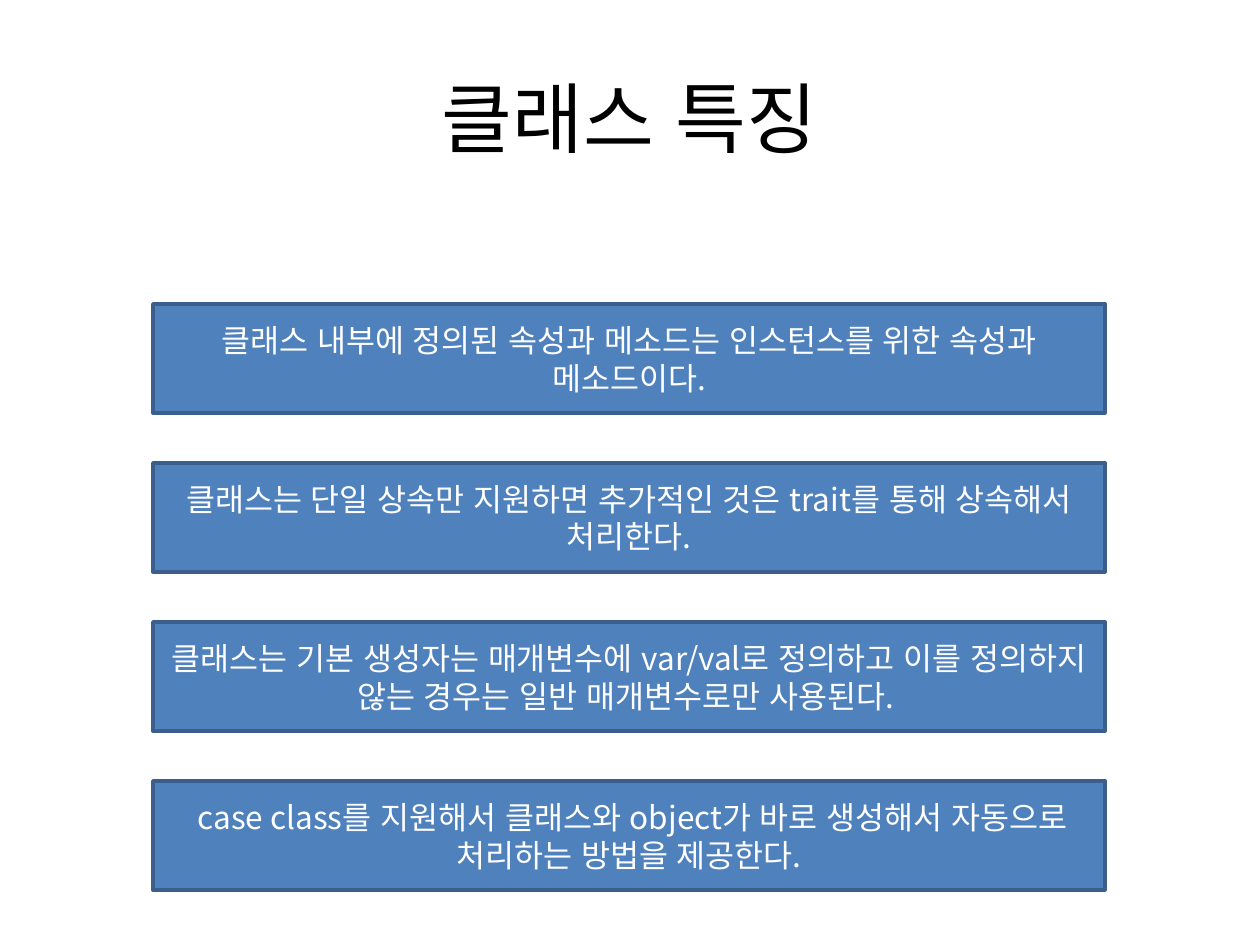
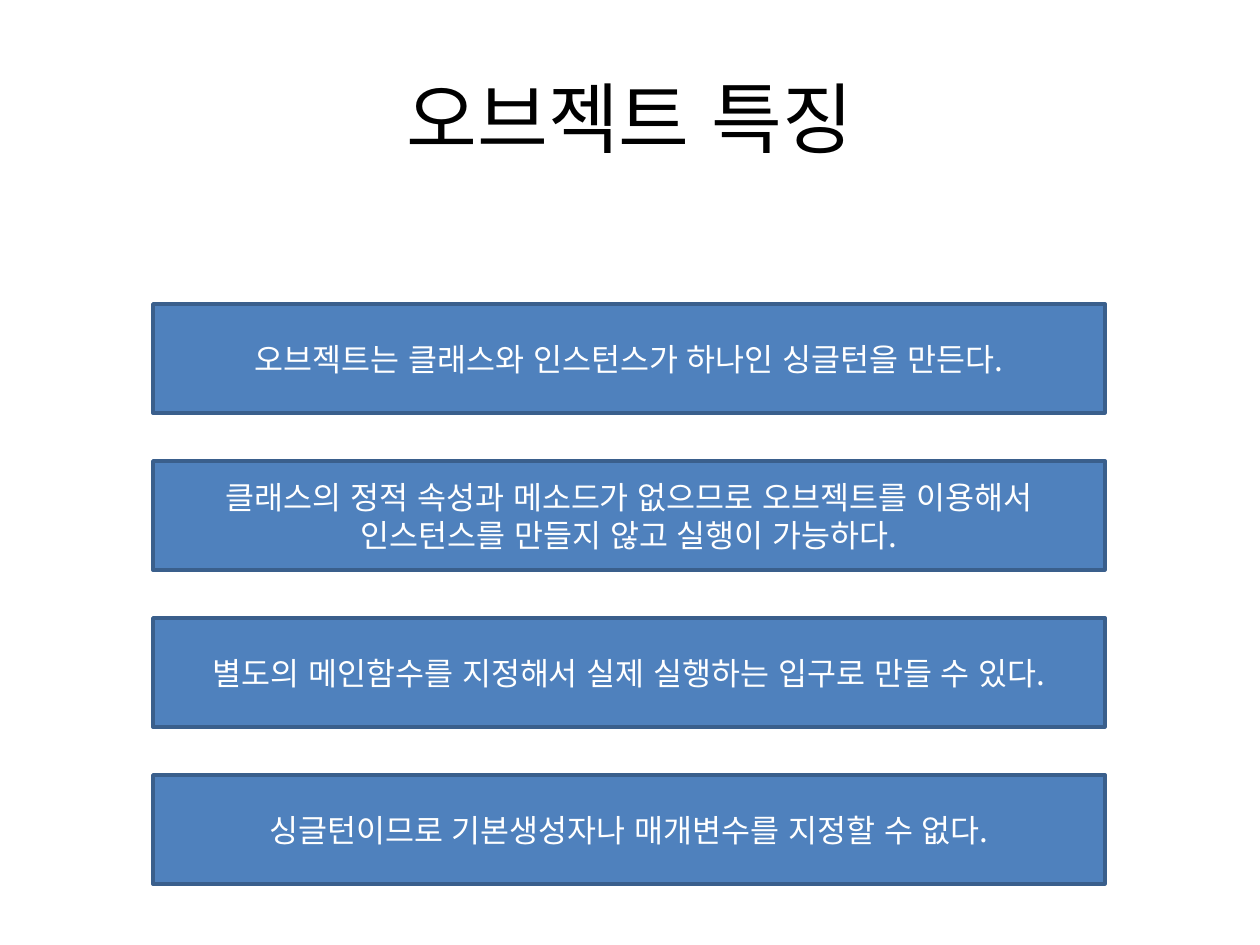
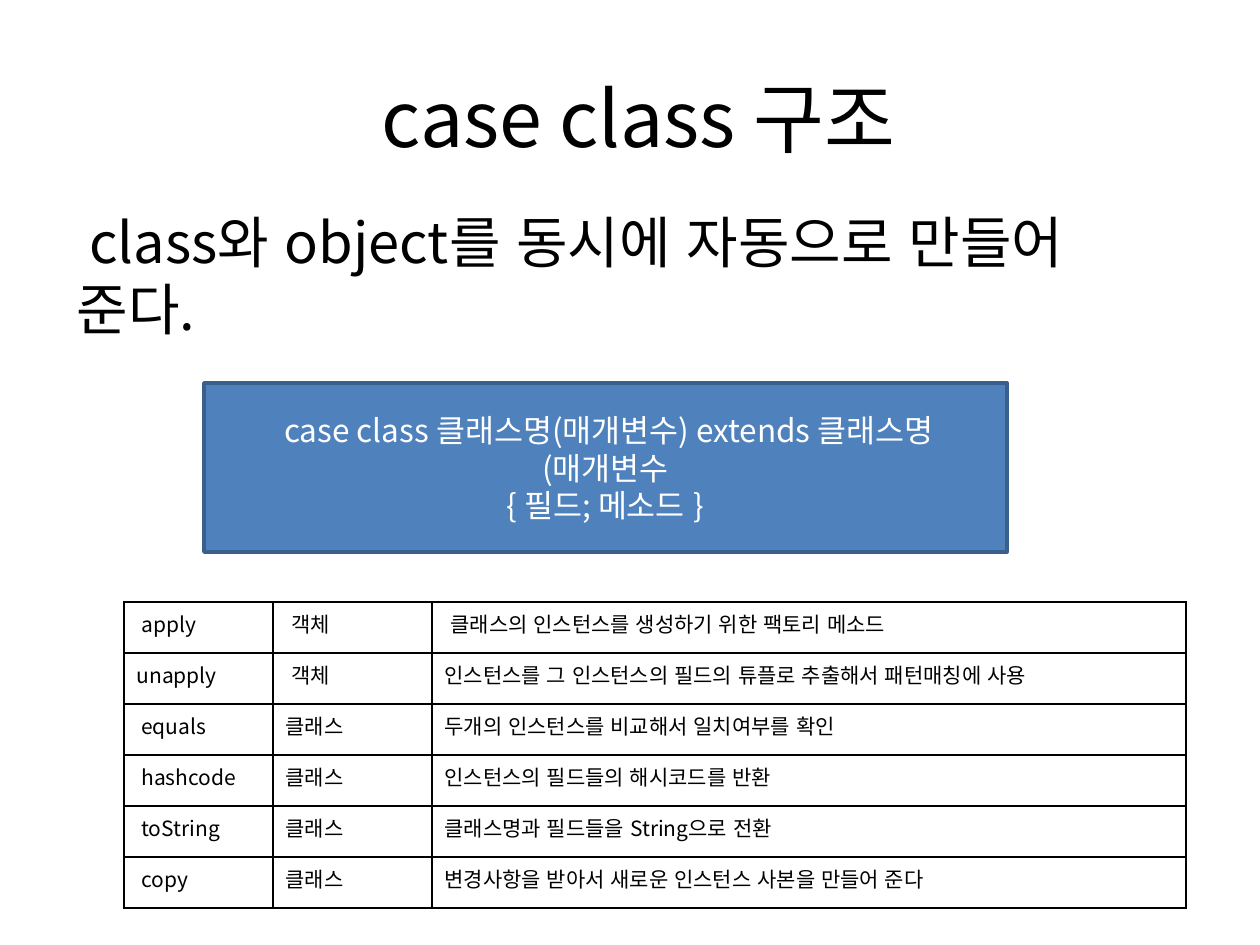
"""Build three slides on classes, objects and case classes."""
import dataclasses

import pptx
import pptx.dml.color
import pptx.enum.lang
import pptx.enum.shapes
import pptx.enum.text
import pptx.oxml.ns
import pptx.util
from lxml import etree

ALIGN = pptx.enum.text.PP_ALIGN
ANCHOR = pptx.enum.text.MSO_ANCHOR
qn = pptx.oxml.ns.qn


@dataclasses.dataclass(frozen=True)
class Theme:
    font: str = "Noto Sans CJK KR"
    ink: str = "000000"
    box_fill: str = "4F81BD"
    box_line: str = "3A5F8C"
    box_text: str = "FFFFFF"
    title_size: int = 44
    body_size: int = 32
    box_size: int = 18
    cell_size: int = 12
    box_line_width: int = 2
    border_width: int = 1


THEME = Theme()


def px(length):
    return round(length * 914400 / 126)


def rgb(code):
    return pptx.dml.color.RGBColor.from_string(code)


def write(frame, text, size, color=THEME.ink, align=ALIGN.LEFT, anchor=ANCHOR.TOP):
    frame.word_wrap = True
    frame.vertical_anchor = anchor
    frame.text = text
    for paragraph in frame.paragraphs:
        paragraph.alignment = align
        for run in paragraph.runs:
            run.font.size = pptx.util.Pt(size)
            run.font.name = THEME.font
            run.font.color.rgb = rgb(color)
            run.font.language_id = pptx.enum.lang.MSO_LANGUAGE_ID.KOREAN


def draw_borders(cell):
    properties = cell._tc.get_or_add_tcPr()
    for position, side in enumerate(("lnL", "lnR", "lnT", "lnB")):
        border = etree.Element(qn(f"a:{side}"), w=str(pptx.util.Pt(THEME.border_width)))
        fill = etree.SubElement(border, qn("a:solidFill"))
        etree.SubElement(fill, qn("a:srgbClr"), val=THEME.ink)
        properties.insert(position, border)


class Deck:
    TITLE_AND_BODY, TITLE_ONLY = 1, 5

    def __init__(self):
        self.presentation = pptx.Presentation()
        self.presentation.slide_width = px(1260)
        self.presentation.slide_height = px(945)
        self.slide = None

    def add_slide(self, title, layout=TITLE_ONLY):
        self.slide = self.presentation.slides.add_slide(self.presentation.slide_layouts[layout])
        heading = self.slide.shapes.title
        self.place(heading, 63, 38, 1134, 158)
        write(heading.text_frame, title, THEME.title_size, align=ALIGN.CENTER, anchor=ANCHOR.MIDDLE)

    def place(self, shape, left, top, width, height):
        shape.left, shape.top, shape.width, shape.height = map(px, (left, top, width, height))

    def body(self, text, left, top, width, height):
        summary = self.slide.placeholders[1]
        self.place(summary, left, top, width, height)
        write(summary.text_frame, text, THEME.body_size)
        for paragraph in summary.text_frame.paragraphs:
            properties = paragraph._p.get_or_add_pPr()
            properties.set("marL", "0")
            properties.set("indent", "0")
            etree.SubElement(properties, qn("a:buNone"))

    def box(self, text, left, top, width, height):
        panel = self.slide.shapes.add_shape(
            pptx.enum.shapes.MSO_SHAPE.RECTANGLE, *map(px, (left, top, width, height)))
        panel.shadow.inherit = False
        panel.fill.solid()
        panel.fill.fore_color.rgb = rgb(THEME.box_fill)
        panel.line.color.rgb = rgb(THEME.box_line)
        panel.line.width = pptx.util.Pt(THEME.box_line_width)
        write(panel.text_frame, text, THEME.box_size, color=THEME.box_text,
              align=ALIGN.CENTER, anchor=ANCHOR.MIDDLE)

    def box_stack(self, statements, pitch):
        for row, statement in enumerate(statements):
            self.box(statement, 153, 304 + row * pitch, 952, 109)

    def table(self, rows, left, top, widths, row_height):
        frame = self.slide.shapes.add_table(
            len(rows), len(widths), px(left), px(top), px(sum(widths)), px(row_height * len(rows)))
        grid = frame.table
        grid.first_row = grid.horz_banding = False
        for column, width in zip(grid.columns, widths):
            column.width = px(width)
        for line, values in zip(grid.rows, rows):
            line.height = px(row_height)
            for cell, value in zip(line.cells, values):
                cell.fill.background()
                write(cell.text_frame, value, THEME.cell_size)
                draw_borders(cell)


deck = Deck()

deck.add_slide("클래스 특징")
deck.box_stack([
    "클래스 내부에 정의된 속성과 메소드는 인스턴스를 위한 속성과 메소드이다.",
    "클래스는 단일 상속만 지원하면 추가적인 것은 trait를 통해 상속해서 처리한다.",
    "클래스는 기본 생성자는 매개변수에 var/val로 정의하고 이를 정의하지 않는 경우는 일반 매개변수로만 사용된다. ",
    " case class를 지원해서 클래스와 object가 바로 생성해서 자동으로 처리하는 방법을 제공한다.",
], pitch=159)

deck.add_slide("오브젝트 특징")
deck.box_stack([
    "오브젝트는 클래스와 인스턴스가 하나인 싱글턴을 만든다.",
    "클래스의 정적 속성과 메소드가 없으므로 오브젝트를 이용해서 인스턴스를 만들지 않고 실행이 가능하다.",
    "별도의 메인함수를 지정해서 실제 실행하는 입구로 만들 수 있다.",
    "싱글턴이므로 기본생성자나 매개변수를 지정할 수 없다.",
], pitch=157)

deck.add_slide(" case class 구조", layout=Deck.TITLE_AND_BODY)
deck.body(" class와 object를 동시에 자동으로 만들어 준다. ", 64, 201, 1113, 203)
deck.box(" case class 클래스명(매개변수) extends 클래스명(매개변수\n{ 필드; 메소드 }", 204, 383, 803, 169)
deck.table([
    (" apply", " 객체", " 클래스의 인스턴스를 생성하기 위한 팩토리 메소드"),
    ("unapply", " 객체", "인스턴스를 그 인스턴스의 필드의 튜플로 추출해서 패턴매칭에 사용"),
    (" equals", "클래스", "두개의 인스턴스를 비교해서 일치여부를 확인"),
    (" hashcode", "클래스", "인스턴스의 필드들의 해시코드를 반환"),
    (" toString", "클래스", "클래스명과 필드들을 String으로 전환"),
    (" copy", "클래스", "변경사항을 받아서 새로운 인스턴스 사본을 만들어 준다"),
], left=124, top=602, widths=(149, 159, 754), row_height=51)

deck.presentation.save("out.pptx")
